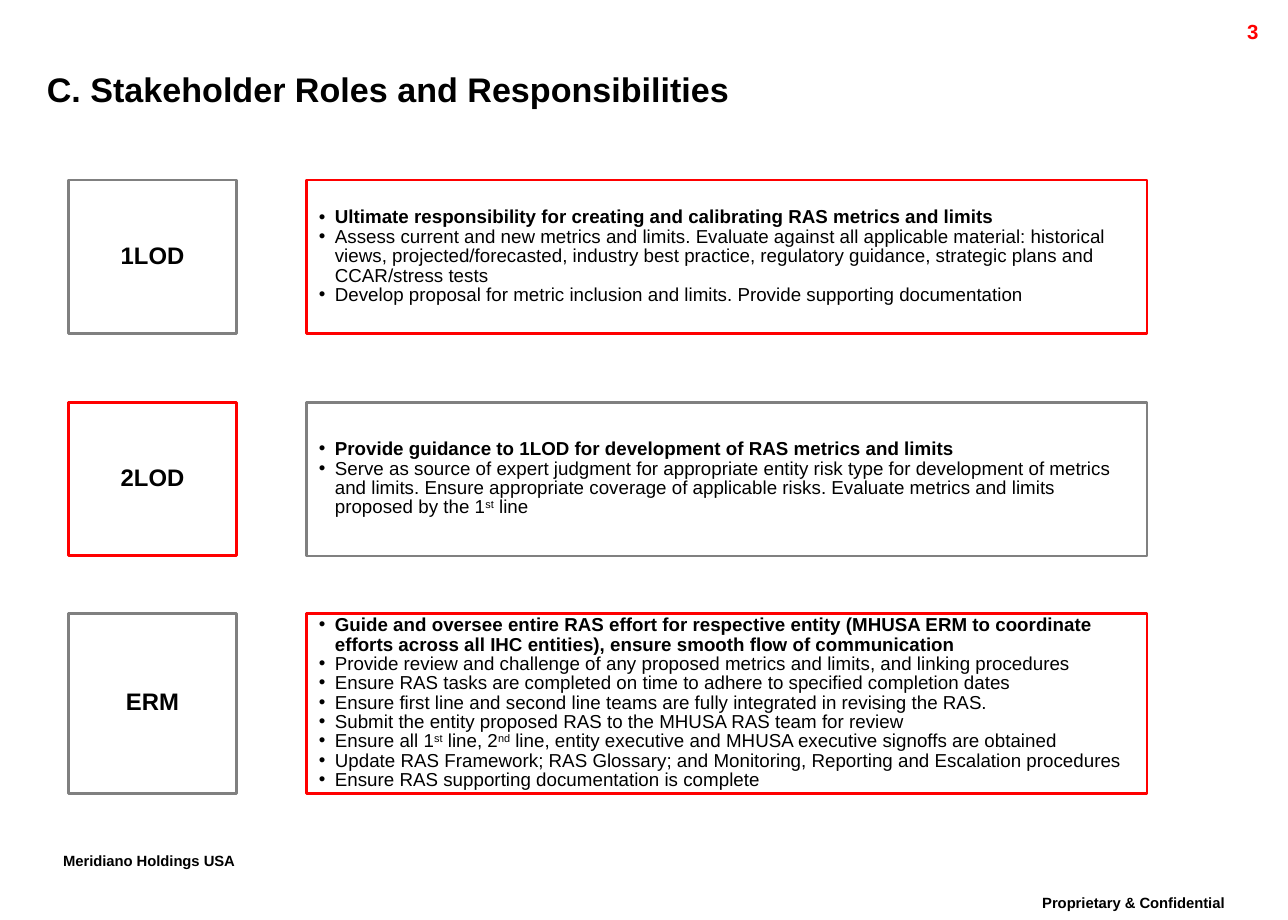
from pptx import Presentation
from pptx.dml.color import RGBColor
from pptx.enum.shapes import MSO_SHAPE as Preset
from pptx.enum.text import MSO_ANCHOR as Anchor, MSO_AUTO_SIZE as AutoSize, PP_ALIGN as Align
from pptx.oxml.ns import qn
from pptx.util import Cm, Pt

BLACK, RED, GREY = "000000", "FF0000", "808080"
TIGHT = 0.86  # line spacing
LABEL_WIDTH, LIST_OFFSET = 3.48, 4.93
MARGINS = ("margin_left", "margin_top", "margin_right", "margin_bottom")

# Text between a pair of ^ marks is superscript; the first item is bold.
STAKEHOLDERS = [
    ("1LOD", 3.73, 3.18, GREY, RED, [
        "Ultimate responsibility for creating and calibrating RAS metrics and limits",
        "Assess current and new metrics and limits. Evaluate against all applicable "
        "material: historical views, projected/forecasted, industry best practice, "
        "regulatory guidance, strategic plans and CCAR/stress tests",
        "Develop proposal for metric inclusion and limits. Provide supporting documentation",
    ]),
    ("2LOD", 8.33, 3.18, RED, GREY, [
        "Provide guidance to 1LOD for development of RAS metrics and limits",
        "Serve as source of expert judgment for appropriate entity risk type for "
        "development of metrics and limits. Ensure appropriate coverage of applicable "
        "risks. Evaluate metrics and limits proposed by the 1^st^ line",
    ]),
    ("ERM", 12.7, 3.73, GREY, RED, [
        "Guide and oversee entire RAS effort for respective entity (MHUSA ERM to "
        "coordinate efforts across all IHC entities), ensure smooth flow of communication",
        "Provide review and challenge of any proposed metrics and limits, and linking procedures",
        "Ensure RAS tasks are completed on time to adhere to specified completion dates",
        "Ensure first line and second line teams are fully integrated in revising the RAS.",
        "Submit the entity proposed RAS to the MHUSA RAS team for review",
        "Ensure all 1^st^ line, 2^nd^ line, entity executive and MHUSA executive signoffs "
        "are obtained",
        "Update RAS Framework; RAS Glossary; and Monitoring, Reporting and Escalation procedures",
        "Ensure RAS supporting documentation is complete",
    ]),
]


def color(hex_value):
    return RGBColor.from_string(hex_value)


def apply(target, values):
    for name, value in values.items():
        setattr(target, name, value)


def place(shape, box):
    apply(shape, dict(zip(("left", "top", "width", "height"), map(Cm, box))))


def write(para, text, size, bold=True, ink=BLACK, align=Align.LEFT, spacing=TIGHT):
    apply(para, {"alignment": align, "line_spacing": spacing,
                 "space_before": Pt(0), "space_after": Pt(0)})
    for number, piece in enumerate(text.split("^")):
        span = para.add_run()
        span.text = piece
        apply(span.font, {"name": "Arial", "size": Pt(size), "bold": bold})
        span.font.color.rgb = color(ink)
        if number % 2:
            raise_text(span)


def raise_text(span):
    span.font._element.set("baseline", "30000")


def add_bullet(para):
    properties = para._p.get_or_add_pPr()
    properties.set("marL", str(Cm(0.33)))
    properties.set("indent", str(Cm(-0.33)))
    bullet = properties.makeelement(qn("a:buChar"), {"char": "•"})
    properties.append(bullet)


def outline(shape, line_color):
    shape.fill.background()
    shape.line.color.rgb = color(line_color)
    shape.line.width = Pt(1.5)


def add_title(page, box):
    title = page.shapes.title
    place(title, box)
    frame = title.text_frame
    apply(frame, {"vertical_anchor": Anchor.MIDDLE, "auto_size": AutoSize.NONE,
                  "word_wrap": True, **dict.fromkeys(MARGINS, 0)})
    write(frame.paragraphs[0], "C. Stakeholder Roles and Responsibilities", 20, spacing=1)


def add_note(page, box, text, size, wrap=True, raised=False, **text_format):
    note = page.shapes.add_textbox(*map(Cm, box))
    note.text_frame.word_wrap = wrap
    para = note.text_frame.paragraphs[0]
    write(para, text, size, **text_format)
    if raised:
        raise_text(para.runs[0])


def add_stakeholder(page, body, box, label, label_line, list_line, items):
    left, top, width, height = box

    # Label box
    name_box = page.shapes.add_shape(
        Preset.RECTANGLE, *map(Cm, (left, top, LABEL_WIDTH, height)))
    name_box.shadow.inherit = False
    outline(name_box, label_line)
    name_box.text_frame.vertical_anchor = Anchor.MIDDLE
    write(name_box.text_frame.paragraphs[0], label, 14, align=Align.CENTER)

    # Framed list of duties
    place(body, (left + LIST_OFFSET, top, width - LIST_OFFSET, height))
    outline(body, list_line)
    frame = body.text_frame
    apply(frame, {"vertical_anchor": Anchor.MIDDLE, "auto_size": AutoSize.NONE,
                  "word_wrap": True})
    for number, item in enumerate(items):
        para = frame.add_paragraph() if number else frame.paragraphs[0]
        write(para, item, 11, bold=number == 0)
        add_bullet(para)


def main():
    deck = Presentation()
    apply(deck, {"slide_width": Cm(26.67), "slide_height": Cm(19.05)})
    comparison_layout = deck.slide_layouts[4]
    page = deck.slides.add_slide(comparison_layout)

    # Title and page number
    add_title(page, (0.97, 1.24, 24.08, 1.22))
    add_note(page, (23.77, 0.28, 2.54, 0.61), "3", 12, ink=RED, align=Align.RIGHT, spacing=1)

    # Stakeholder rows, one body placeholder each
    _, *bodies, spare = page.placeholders
    spare._element.getparent().remove(spare._element)
    for body, (label, top, height, *details) in zip(bodies, STAKEHOLDERS):
        add_stakeholder(page, body, (1.42, top, 22.33, height), label, *details)

    # Footer
    footer = {"size": 15, "align": Align.CENTER, "raised": True}
    add_note(page, (0.66, 17.55, 4.85, 0.81), "Meridiano Holdings USA", wrap=False, **footer)
    add_note(page, (20.7, 18.42, 5.54, 0.84), "Proprietary & Confidential", **footer)

    deck.save("out.pptx")


if __name__ == "__main__":
    main()
